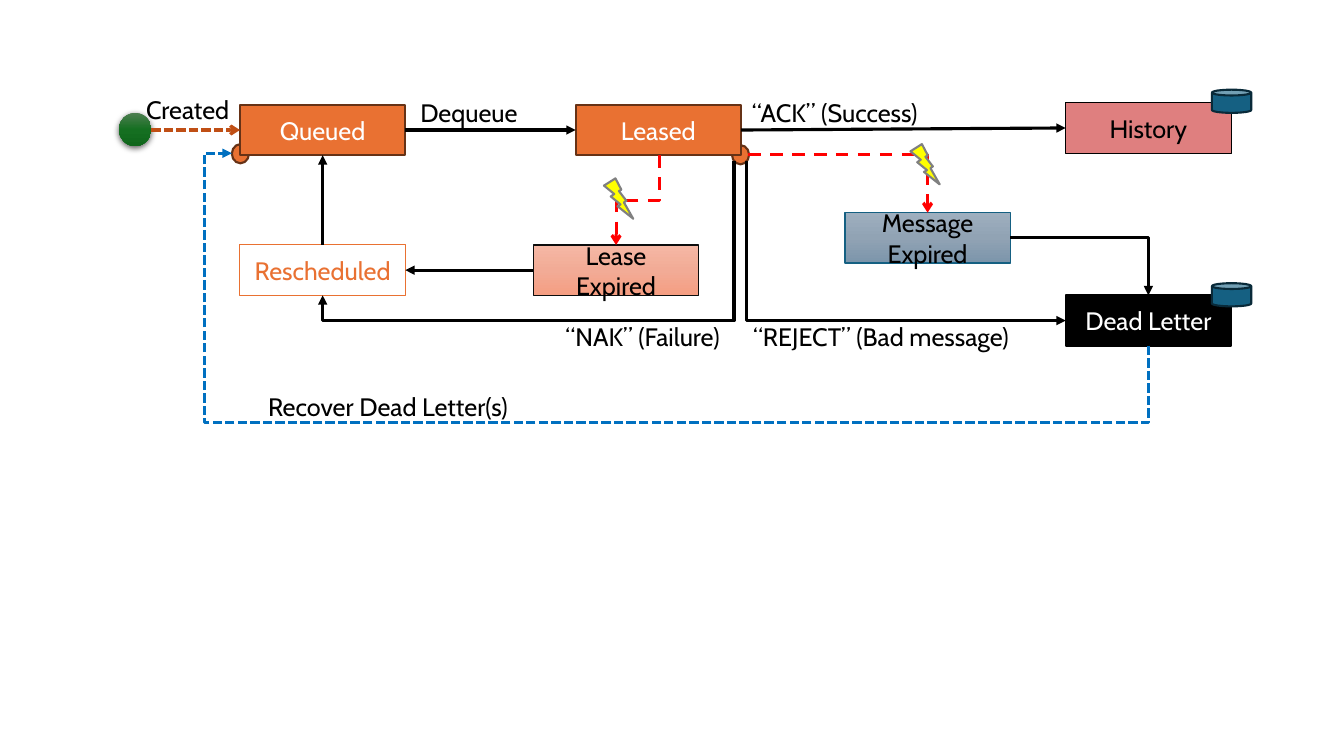
from copy import deepcopy
from dataclasses import dataclass
from typing import Optional

from pptx import Presentation
from pptx.dml.color import RGBColor
from pptx.enum.dml import MSO_LINE as Dash
from pptx.enum.shapes import MSO_CONNECTOR as Conn, MSO_SHAPE as Shp
from pptx.enum.text import MSO_ANCHOR, MSO_AUTO_SIZE, PP_ALIGN
from pptx.oxml.ns import qn
from pptx.oxml.xmlchemy import OxmlElement
from pptx.util import Emu, Inches, Pt

BOX_W, BOX_H = 16.4, 5
TOP, LEFT, RIGHT = 10.4, 23.8, 105.7
BLACK, WHITE, ORANGE, BROWN, RED = "000000", "FFFFFF", "E97132", "663216", "FF0000"


@dataclass
class State:
    """A named state box; positions are in grid cells."""
    text: str
    x: float
    y: float
    fill: list[str]
    line: str
    weight: float
    color: str = BLACK
    alpha: Optional[int] = None


@dataclass
class Marker:
    """An unlabelled shape that marks a point of the diagram."""
    kind: Shp
    x: float
    y: float
    w: float
    h: float
    fill: list[str]
    line: Optional[str]


@dataclass
class Straight:
    """A straight arrow between connection sites of two states."""
    start: str
    start_site: int
    end: str
    end_site: int


@dataclass
class Elbow:
    """A bent arrow with its preset number, turn and bend positions."""
    start: tuple[float, float]
    end: tuple[float, float]
    bends: int
    rot: int = 0
    flip: bool = False
    adj: tuple[float, ...] = ()
    color: str = BLACK
    dash: Optional[Dash] = None
    head: str = "triangle"


@dataclass
class Label:
    """A caption beside an arrow."""
    text: str
    x: float
    y: float
    w: float
    wrap: bool = False


STATES = [
    State("Queued", LEFT, TOP, [ORANGE], BROWN, 1.5, WHITE),
    State("Leased", 57.1, TOP, [ORANGE], BROWN, 1.5, WHITE),
    State("History", RIGHT, 10.2, ["C00000"], BLACK, 0.75, alpha=50),
    State("Rescheduled", LEFT, 24.3, [], ORANGE, 0.75, ORANGE),
    State("Lease Expired", 52.9, 24.3, ["F5B8A5", "F2AB96", "F59E82"], "0D0D0D", 1),
    State("Message Expired", 83.8, 21.1, ["9EAFBF", "91A3B4", "7C95AB"], "156082", 1),
    State("Dead Letter", RIGHT, 29.3, [BLACK], BLACK, 1.5, WHITE),
]
JOINTS = [Marker(Shp.OVAL, x, y, 1.7, 1.9, [ORANGE], BROWN)
          for x, y in ((72.6, 14.4), (23, 14.3))]
START = Marker(Shp.OVAL, 11.8, 11.2, 3.2, 3.3, ["4D7E50", "156F21", "0F661B"], None)
BOLTS = [Marker(Shp.LIGHTNING_BOLT, x, y, 2.9, 4, ["FFFF00"], "808080")
         for x, y in ((59.9, 17.7), (90.3, 14.3))]
STORES = [Marker(Shp.CAN, 120.2, y, 3.9, 2.3, ["156082"], "092A39") for y in (8.9, 28.1)]
STRAIGHTS = [
    Straight("Queued", 3, "Leased", 1),
    Straight("Leased", 3, "History", 1),
    Straight("Lease Expired", 1, "Rescheduled", 3),
    Straight("Rescheduled", 0, "Queued", 2),
]
ELBOWS = [
    Elbow((65.4, 15.4), (61.1, 24.3), 3, 90, adj=(0.5,), color=RED, dash=Dash.DASH, head="arrow"),
    Elbow((72.8, 16), (32, 29.3), 3, 90, adj=(1.19,)),
    Elbow((74, 16), (105.7, 31.8), 2, 270, True),
    Elbow((74.2, 15.3), (92, 21.1), 2, color=RED, dash=Dash.DASH, head="arrow"),
    Elbow((100.2, 23.6), (113.9, 29.3), 2),
    Elbow((113.9, 34.3), (23, 15.2), 4, 90, True, (-0.4, 1.03), "0070C0", Dash.SQUARE_DOT),
]
LABELS = [
    Label("Dequeue", 40.7, 9.2, 12),
    Label("Created", 13.5, 8.9, 10.8),
    Label("“ACK” (Success)", 73.6, 9.2, 19.9),
    Label("“NAK” (Failure)", 55.1, 31.4, 18.3),
    Label("“REJECT” (Bad message)", 73.7, 31.4, 28.9),
    Label("Recover Dead Letter(s)", 25.6, 38.3, 27.8, True),
]


def cells(n: float) -> Emu:
    """Convert grid cells, a tenth of an inch each, to a length."""
    return Inches(n / 10)


def rgb(color: str) -> RGBColor:
    """Turn a hex string into a colour."""
    return RGBColor.from_string(color)


def add_child(parent, tag: str, **attrs):
    """Append an XML child with the given attributes."""
    el = OxmlElement(tag)
    for key, value in attrs.items():
        el.set(key, str(value))
    parent.append(el)
    return el


def paint(s, fill: list[str], line: Optional[str], weight: float = 1.5) -> None:
    """Give a shape no fill, a solid fill or a downward gradient, and an outline."""
    s.shadow.inherit = False
    if not fill:
        s.fill.background()
    elif len(fill) == 1:
        s.fill.solid()
        s.fill.fore_color.rgb = rgb(fill[0])
    else:
        s.fill.gradient()
        s.fill.gradient_angle = 270
        first = s._element.spPr.find(".//" + qn("a:gs"))
        first.addnext(deepcopy(first))
        for i, (stop, color) in enumerate(zip(s.fill.gradient_stops, fill)):
            stop.position = i / 2
            stop.color.rgb = rgb(color)
    if line:
        s.line.color.rgb = rgb(line)
        s.line.width = Pt(weight)
    else:
        s.line.fill.background()


def write(tf, text: str, color: str) -> None:
    """Set one line of text in the slide's font."""
    tf.text = text
    font = tf.paragraphs[0].runs[0].font
    font.name, font.size, font.color.rgb = "Cabin", Pt(18), rgb(color)


def draw_state(slide, st: State):
    """Draw a state box with centred text."""
    s = slide.shapes.add_shape(Shp.RECTANGLE, *map(cells, (st.x, st.y, BOX_W, BOX_H)))
    paint(s, st.fill, st.line, st.weight)
    if st.alpha:
        add_child(s._element.spPr.find(".//" + qn("a:srgbClr")), "a:alpha", val=st.alpha * 1000)
    write(s.text_frame, st.text, st.color)
    s.text_frame.vertical_anchor = MSO_ANCHOR.MIDDLE
    s.text_frame.paragraphs[0].alignment = PP_ALIGN.CENTER
    return s


def draw_marker(slide, m: Marker):
    """Draw a marker shape."""
    s = slide.shapes.add_shape(m.kind, *map(cells, (m.x, m.y, m.w, m.h)))
    paint(s, m.fill, m.line)
    return s


def add_shadow(s) -> None:
    """Add a soft shadow below a shape."""
    shadow = add_child(s._element.spPr.find(qn("a:effectLst")), "a:outerShdw",
                       blurRad=Pt(4.5), dist=Pt(1.5), dir=5400000, rotWithShape=0)
    add_child(add_child(shadow, "a:srgbClr", val=BLACK), "a:alpha", val=63000)


def add_arrow(slide, kind: Conn, x1: float, y1: float, x2: float, y2: float,
              color: str = BLACK, dash: Optional[Dash] = None, head: str = "triangle"):
    """Add a connector with an arrowhead at its end."""
    c = slide.shapes.add_connector(kind, *map(cells, (x1, y1, x2, y2)))
    c.line.color.rgb, c.line.width = rgb(color), Pt(2.25)
    if dash is not None:
        c.line.dash_style = dash
    spPr = c._element.spPr
    add_child(spPr.find(qn("a:ln")), "a:tailEnd", type=head)
    add_child(spPr, "a:effectLst")
    return c


def draw_elbow(slide, e: Elbow) -> None:
    """Draw a bent arrow, swapping its frame's sides when it is turned."""
    (x1, y1), (x2, y2) = e.start, e.end
    w, h = abs(x2 - x1), abs(y2 - y1)
    if e.rot:
        w, h = h, w
    left, top = (x1 + x2 - w) / 2, (y1 + y2 - h) / 2
    c = add_arrow(slide, Conn.ELBOW, left, top, left + w, top + h, e.color, e.dash, e.head)
    spPr = c._element.spPr
    xfrm = spPr.find(qn("a:xfrm"))
    xfrm.set("rot", str(e.rot * 60000))
    xfrm.set("flipH", str(int(e.flip)))
    geom = spPr.find(qn("a:prstGeom"))
    geom.set("prst", f"bentConnector{e.bends}")
    for i, value in enumerate(e.adj, 1):
        add_child(geom.find(qn("a:avLst")), "a:gd", name=f"adj{i}", fmla=f"val {round(value * 100000)}")


def draw_label(slide, lb: Label) -> None:
    """Draw a caption."""
    tf = slide.shapes.add_textbox(*map(cells, (lb.x, lb.y, lb.w, 4))).text_frame
    tf.word_wrap = lb.wrap
    tf.auto_size = MSO_AUTO_SIZE.SHAPE_TO_FIT_TEXT
    write(tf, lb.text, BLACK)


def main() -> None:
    """Build the message life-cycle slide."""
    prs = Presentation()
    prs.slide_width, prs.slide_height = Inches(13.33), Inches(7.5)
    slide = prs.slides.add_slide(prs.slide_layouts[6])
    for m in JOINTS:
        draw_marker(slide, m)
    add_shadow(draw_marker(slide, START))
    boxes = {st.text: draw_state(slide, st) for st in STATES}
    created = add_arrow(slide, Conn.STRAIGHT, 15, 12.9, LEFT, 12.9, "C04F15", Dash.SQUARE_DOT, "arrow")
    created.end_connect(boxes["Queued"], 1)
    for a in STRAIGHTS:
        c = add_arrow(slide, Conn.STRAIGHT, 0, 0, 0, 0)
        c.begin_connect(boxes[a.start], a.start_site)
        c.end_connect(boxes[a.end], a.end_site)
    for e in ELBOWS:
        draw_elbow(slide, e)
    for lb in LABELS:
        draw_label(slide, lb)
    for m in BOLTS + STORES:
        draw_marker(slide, m)
    prs.save("out.pptx")


if __name__ == "__main__":
    main()
